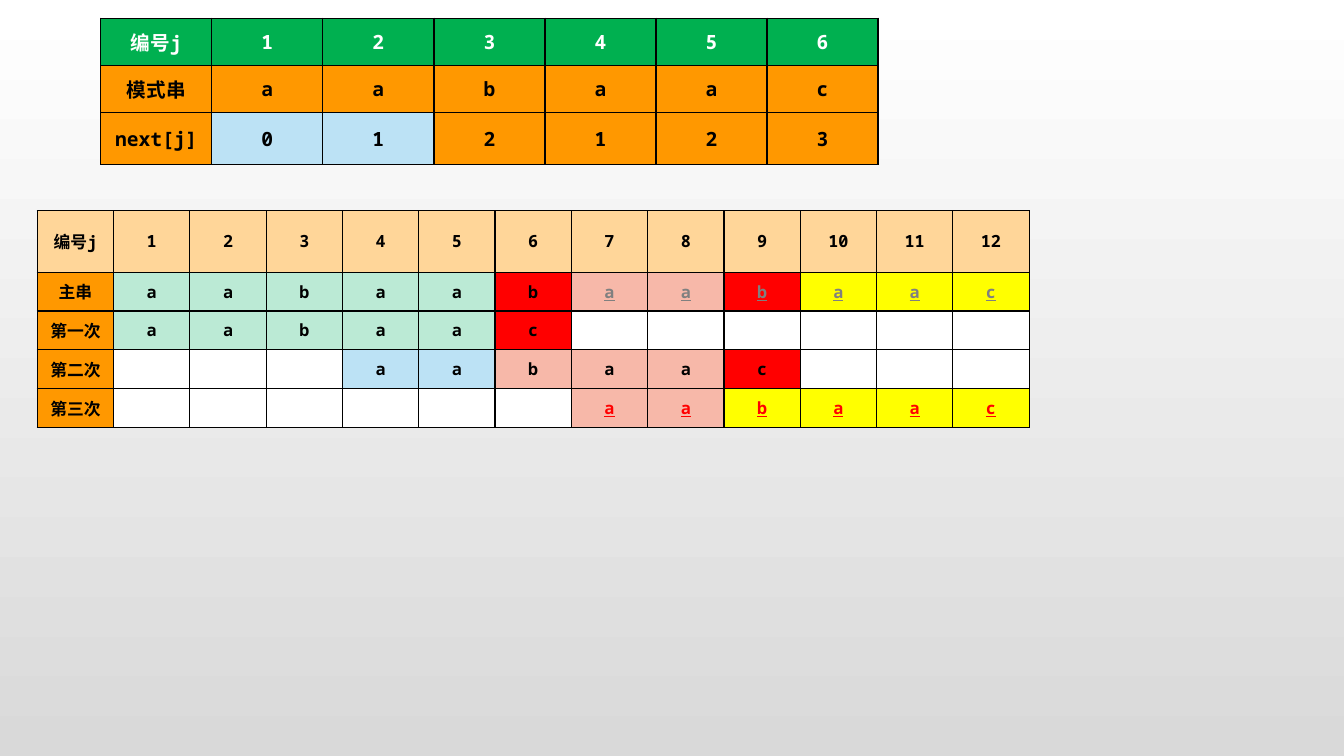
"""Build a slide with a KMP next-array table and a string matching trace."""
from lxml import etree
from pptx import Presentation
from pptx.dml.color import RGBColor
from pptx.enum.text import MSO_ANCHOR, PP_ALIGN
from pptx.oxml.ns import qn
from pptx.util import Inches, Pt

CENTER = PP_ALIGN.CENTER
MIDDLE = MSO_ANCHOR.MIDDLE
FONT = "Noto Sans Mono"
BLACK = RGBColor(0x00, 0x00, 0x00)
WHITE = RGBColor(0xFF, 0xFF, 0xFF)
SILVER = RGBColor(0xD9, 0xD9, 0xD9)
GRAY = RGBColor(0x80, 0x80, 0x80)
RED = RGBColor(0xFF, 0x00, 0x00)
GREEN = RGBColor(0x00, 0xB0, 0x50)
ORANGE = RGBColor(0xFF, 0x98, 0x00)
PEACH = RGBColor(0xFF, 0xD6, 0x99)
BLUE = RGBColor(0xBC, 0xE2, 0xF5)
MINT = RGBColor(0xBB, 0xEA, 0xD5)
PINK = RGBColor(0xF7, 0xB8, 0xA9)
YELLOW = RGBColor(0xFF, 0xFF, 0x00)
FILLS = {"G": GREEN, "O": ORANGE, "P": PEACH, "B": BLUE, "M": MINT,
         "R": RED, "K": PINK, "Y": YELLOW, "W": WHITE}


def write(cell, text, size=12, color=BLACK, underline=False):
    p = cell.text_frame.paragraphs[0]
    p.alignment = CENTER
    r = p.add_run()
    r.text = text
    r.font.name = FONT
    r.font.size = Pt(size)
    r.font.bold = True
    r.font.underline = underline
    r.font.color.rgb = color


def add_grid(s, left, top, width, heights, rows, fills):
    n_cols = len(rows[0])
    table = s.shapes.add_table(len(rows), n_cols, Inches(left), Inches(top),
                               Inches(width), Inches(sum(heights))).table
    for column in table.columns:
        column.width = Inches(width / n_cols)
    for row, height in zip(table.rows, heights):
        row.height = Inches(height)
    for cell, key in zip(table.iter_cells(), "".join(fills)):
        cell.vertical_anchor = MIDDLE
        cell.margin_top = cell.margin_bottom = 0
        tcPr = cell._tc.get_or_add_tcPr()
        for side in ("a:lnL", "a:lnR", "a:lnT", "a:lnB"):
            ln = etree.SubElement(tcPr, qn(side), w=str(Pt(1)))
            solid = etree.SubElement(ln, qn("a:solidFill"))
            etree.SubElement(solid, qn("a:srgbClr"), val=str(BLACK))
        cell.fill.solid()
        cell.fill.fore_color.rgb = FILLS[key]
    return table


prs = Presentation()
prs.slide_width = Inches(13.33)
prs.slide_height = Inches(7.5)
s = prs.slides.add_slide(prs.slide_layouts[6])

background = s.background.fill
background.gradient()
background.gradient_angle = 270
for stop, color in zip(background.gradient_stops, (WHITE, SILVER)):
    stop.color.rgb = color

next_rows = [["编号j", *"123456"],
             ["模式串", *"aabaac"],
             ["next[j]", *"012123"]]
next_fills = ["GGGGGGG", "OOOOOOO", "OBBOOOO"]
next_table = add_grid(s, 1, 0.18, 7.71, [0.47, 0.47, 0.51], next_rows, next_fills)
for i, row in enumerate(next_rows):
    for j, text in enumerate(row):
        write(next_table.cell(i, j), text, size=14, color=BLACK if i else WHITE)

match_rows = [["编号j", *map(str, range(1, 13))],
              ["主串", *"aabaabaabaac"],
              ["第一次", *"aabaac", *[""] * 6],
              ["第二次", *[""] * 3, *"aabaac", *[""] * 3],
              ["第三次", *[""] * 6, *"aabaac"]]
match_fills = ["PPPPPPPPPPPPP",
               "OMMMMMRKKRYYY",
               "OMMMMMRWWWWWW",
               "OWWWBBKKKRWWW",
               "OWWWWWWKKYYYY"]
tail_colors = {1: GRAY, 4: RED}
match_table = add_grid(s, 0.37, 2.09, 9.84, [0.61] + [0.385] * 4, match_rows, match_fills)
for i, row in enumerate(match_rows):
    for j, text in enumerate(row):
        marked = i in tail_colors and j > 6
        if text:
            write(match_table.cell(i, j), text, underline=marked,
                  color=tail_colors[i] if marked else BLACK)

prs.save("out.pptx")
